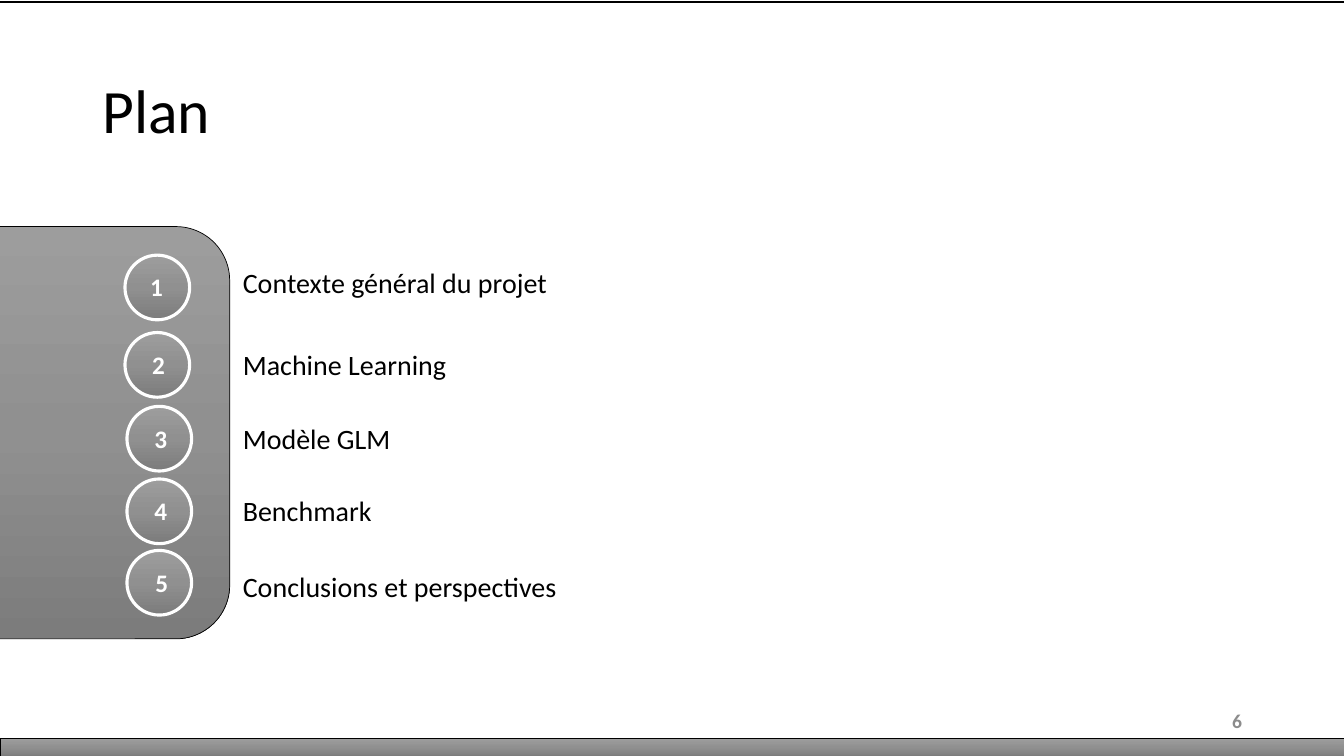
from copy import deepcopy

from lxml.etree import SubElement
from pptx import Presentation
from pptx.dml.color import RGBColor
from pptx.enum.shapes import MSO_CONNECTOR, MSO_SHAPE
from pptx.enum.text import MSO_ANCHOR as Anchor, PP_ALIGN as Align
from pptx.oxml.ns import qn
from pptx.util import Cm, Pt

SLIDE_WIDTH, SLIDE_HEIGHT = 33.87, 19.05
GRAY_STOPS = [(0, "9D9D9D"), (0.5, "909090"), (1, "7C7C7C")]
CIRCLE_SIZE = 1.63
LABEL_LEFT = 5.97
# label, label top, circle left, circle top, number left
PLAN_ITEMS = [
    ("Contexte général du projet", 6.35, 3.15, 6.43, 3.4),
    ("Machine Learning", 8.43, 3.15, 8.38, 3.45),
    ("Modèle GLM", 10.29, 3.2, 10.24, 3.51),
    ("Benchmark", 12.09, 3.2, 12.07, 3.51),
    ("Conclusions et perspectives", 14.02, 3.2, 13.87, 3.53),
]


def rgb(color):
    return RGBColor.from_string(color)


def box(left, top, width, height):
    return Cm(left), Cm(top), Cm(width), Cm(height)


def add_gray_shape(shapes, kind, bounds, line_color, line_width):
    """Add a shape filled with the gray gradient, running top to bottom."""
    shape = shapes.add_shape(kind, *bounds)
    shape.shadow.inherit = False
    shape.fill.gradient()
    shape.fill.gradient_angle = 270
    stop_list = shape.element.spPr.find(".//" + qn("a:gsLst"))
    stop_list.append(deepcopy(stop_list[0]))
    for stop, (position, color) in zip(shape.fill.gradient_stops, GRAY_STOPS):
        stop.position = position
        stop.color.rgb = rgb(color)
    shape.line.color.rgb = rgb(line_color)
    shape.line.width = Pt(line_width)


def add_text(shapes, text, bounds, size, color="000000", bold=False,
             align=Align.LEFT, anchor=Anchor.MIDDLE):
    """Add a one-paragraph text box and return its text frame."""
    frame = shapes.add_textbox(*bounds).text_frame
    frame.word_wrap = True
    frame.vertical_anchor = anchor
    paragraph = frame.paragraphs[0]
    paragraph.text = text
    paragraph.alignment = align
    font = paragraph.font
    font.name, font.size, font.bold = "Calibri", Pt(size), bold
    font.color.rgb = rgb(color)
    return frame


def add_plan_item(slide, number, label, label_top, circle_left, circle_top, number_left):
    shapes = slide.shapes.add_group_shape().shapes
    frame = add_text(shapes, label, box(LABEL_LEFT, label_top, 9.53, CIRCLE_SIZE), 20)
    frame.margin_left = frame.margin_right = Cm(0.15)
    frame.margin_top = frame.margin_bottom = Cm(0.08)
    frame.paragraphs[0].line_spacing = 0.9
    frame.paragraphs[0].space_after = Pt(7)
    add_gray_shape(shapes, MSO_SHAPE.OVAL,
                   box(circle_left, circle_top, CIRCLE_SIZE, CIRCLE_SIZE), "FFFFFF", 2.25)
    add_text(shapes, str(number), box(number_left, circle_top + 0.29, 1.09, 1.02), 18,
             "FFFFFF", bold=True, align=Align.CENTER, anchor=Anchor.TOP)


def add_top_rule(slide):
    rule = slide.shapes.add_connector(
        MSO_CONNECTOR.STRAIGHT, *box(0, 0.05, SLIDE_WIDTH, 0.05))
    rule.line.color.rgb = rgb("000000")
    rule.line.width = Pt(1.5)
    SubElement(rule.element.spPr, qn("a:effectLst"))


def main():
    presentation = Presentation()
    presentation.slide_width = Cm(SLIDE_WIDTH)
    presentation.slide_height = Cm(SLIDE_HEIGHT)
    slide = presentation.slides.add_slide(presentation.slide_layouts[6])

    add_gray_shape(slide.shapes, MSO_SHAPE.ROUNDED_RECTANGLE,
                   box(-2.34, 5.71, 8.13, 10.39), "000000", 0.5)
    title = add_text(slide.shapes, "Plan", box(2.33, 1.02, 29.21, 3.68), 44)
    title.paragraphs[0].line_spacing = 0.9
    for number, item in enumerate(PLAN_ITEMS, start=1):
        add_plan_item(slide, number, *item)

    add_top_rule(slide)
    add_gray_shape(slide.shapes, MSO_SHAPE.RECTANGLE,
                   box(0, 18.61, SLIDE_WIDTH, 0.45), "000000", 0.5)
    add_text(slide.shapes, "6", box(23.93, 17.65, 7.62, 1.02), 14, "8C8C8C",
             bold=True, align=Align.RIGHT)
    presentation.save("out.pptx")


if __name__ == "__main__":
    main()
